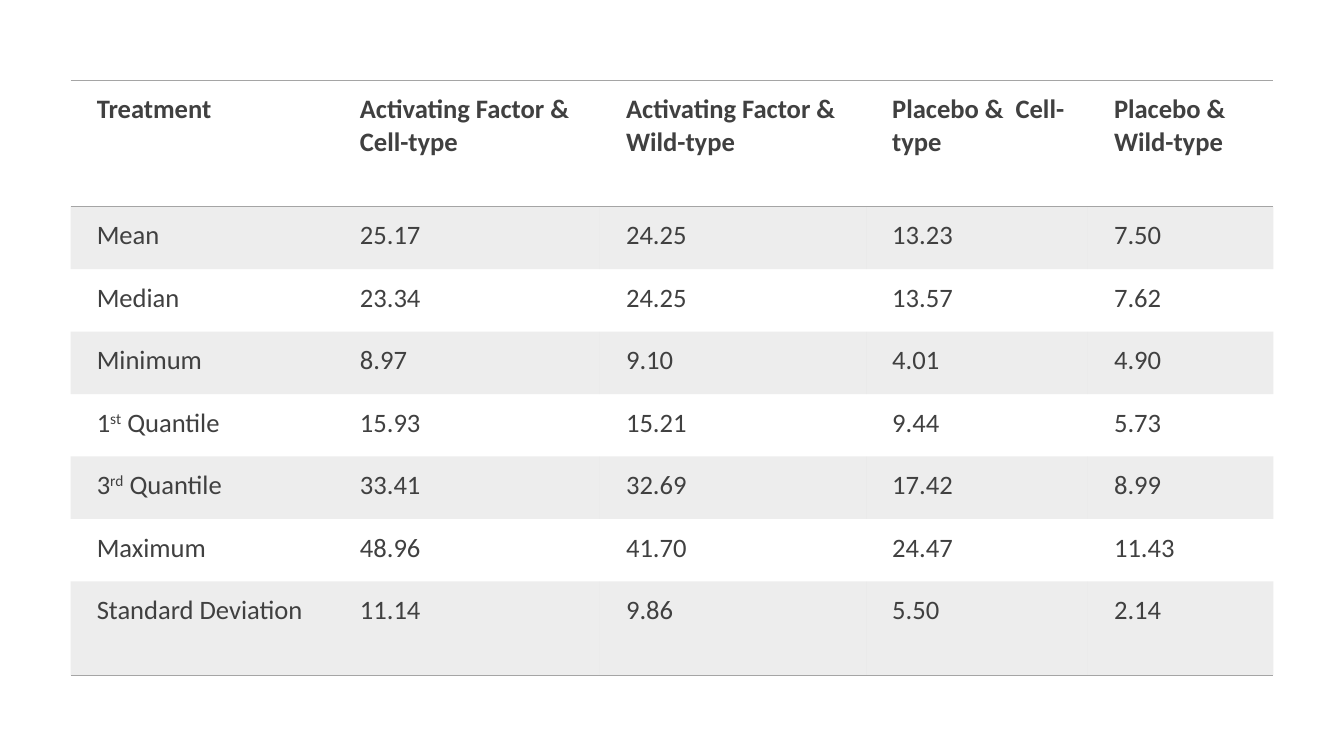
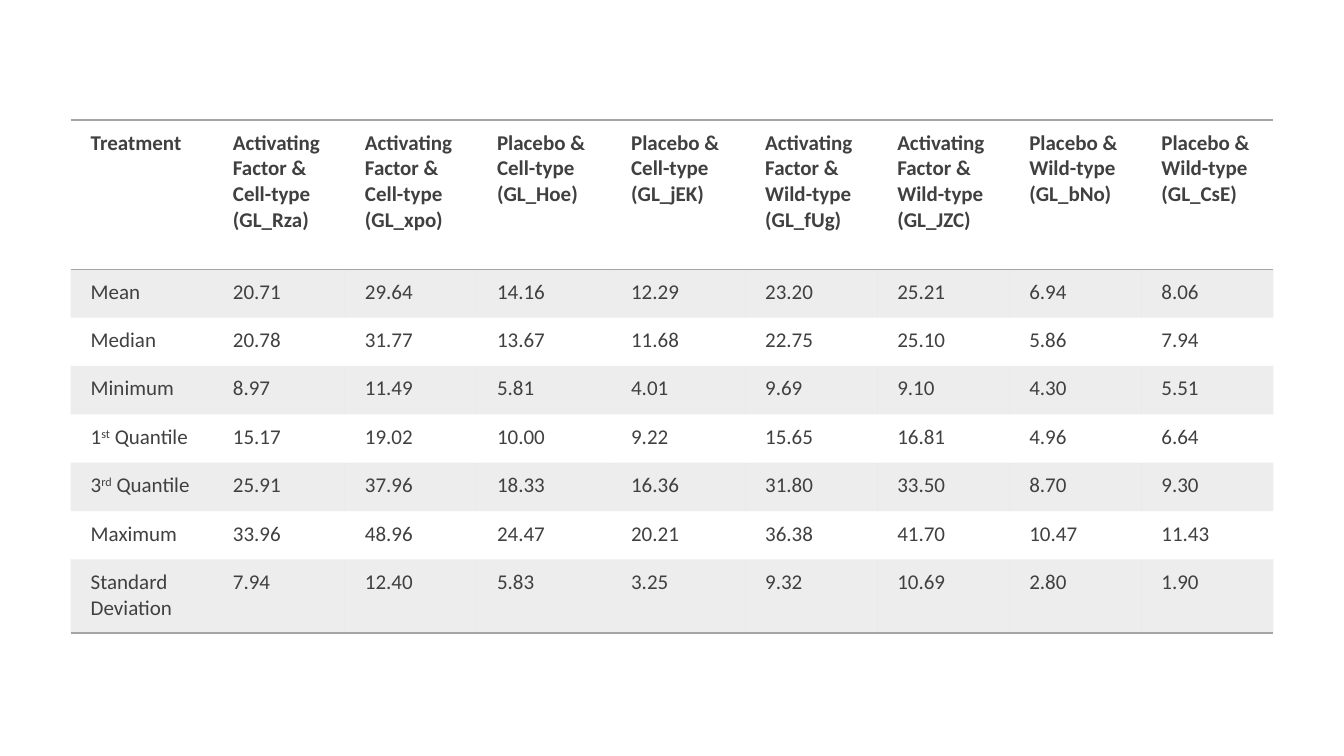
from lxml import etree
from pptx import Presentation
from pptx.dml.color import RGBColor
from pptx.oxml.ns import qn
from pptx.util import Pt

PX = 9144
TEXT = RGBColor(0x40, 0x40, 0x40)
GREY = RGBColor(0xA5, 0xA5, 0xA5)
BAND_ALPHA = "20000"
SUPERSCRIPT = "30000"
FONT = "Calibri"
PLAIN_TABLE = "{2D5ABB26-0587-4C30-8999-92F81FD0307C}"
TABLE_LEFT = 70

ACTIVE_CELL = "Activating Factor & Cell-type"
ACTIVE_WILD = "Activating Factor & Wild-type"
PLACEBO_CELL = "Placebo &  Cell-type"
PLACEBO_WILD = "Placebo & Wild-type"

STATISTICS = [
    ("Mean",), ("Median",), ("Minimum",), ("1", "st", " Quantile"),
    ("3", "rd", " Quantile"), ("Maximum",), ("Standard Deviation",),
]

SUMMARIES = [
    {
        "top": 80, "size": 19, "indent": 26, "margin": 13,
        "widths": [261, 264, 264, 220, 184],
        "heights": [125] + [62] * 6 + [93],
        "treatments": [ACTIVE_CELL, ACTIVE_WILD, PLACEBO_CELL, PLACEBO_WILD],
        "values": [
            "25.17 24.25 13.23 7.50",
            "23.34 24.25 13.57 7.62",
            "8.97 9.10 4.01 4.90",
            "15.93 15.21 9.44 5.73",
            "33.41 32.69 17.42 8.99",
            "48.96 41.70 24.47 11.43",
            "11.14 9.86 5.50 2.14",
        ],
    },
    {
        "top": 119, "size": 15, "indent": 20, "margin": 10,
        "widths": [141, 131, 131, 133, 133] + [131] * 4,
        "heights": [148] + [48] * 6 + [73],
        "treatments": [
            f"{ACTIVE_CELL} (GL_Rza)", f"{ACTIVE_CELL} (GL_xpo)",
            f"{PLACEBO_CELL} (GL_Hoe)", f"{PLACEBO_CELL} (GL_jEK)",
            f"{ACTIVE_WILD} (GL_fUg)", f"{ACTIVE_WILD} (GL_JZC)",
            f"{PLACEBO_WILD} (GL_bNo)", f"{PLACEBO_WILD} (GL_CsE)",
        ],
        "values": [
            "20.71 29.64 14.16 12.29 23.20 25.21 6.94 8.06",
            "20.78 31.77 13.67 11.68 22.75 25.10 5.86 7.94",
            "8.97 11.49 5.81 4.01 9.69 9.10 4.30 5.51",
            "15.17 19.02 10.00 9.22 15.65 16.81 4.96 6.64",
            "25.91 37.96 18.33 16.36 31.80 33.50 8.70 9.30",
            "33.96 48.96 24.47 20.21 36.38 41.70 10.47 11.43",
            "7.94 12.40 5.83 3.25 9.32 10.69 2.80 1.90",
        ],
    },
]


def add_rule(cell, side):
    rule = etree.SubElement(cell._tc.get_or_add_tcPr(), qn(f"a:{side}"), w=str(Pt(1)))
    fill = etree.SubElement(rule, qn("a:solidFill"))
    etree.SubElement(fill, qn("a:srgbClr"), val=str(GREY))


def fill_band(cell):
    cell.fill.solid()
    cell.fill.fore_color.rgb = GREY
    colour = cell._tc.tcPr.find(f"{qn('a:solidFill')}/{qn('a:srgbClr')}")
    etree.SubElement(colour, qn("a:alpha"), val=BAND_ALPHA)


prs = Presentation()
prs.slide_width = 1333 * PX
prs.slide_height = 750 * PX

for summary in SUMMARIES:
    slide = prs.slides.add_slide(prs.slide_layouts[6])
    widths, heights = summary["widths"], summary["heights"]
    table = slide.shapes.add_table(
        len(heights), len(widths), TABLE_LEFT * PX, summary["top"] * PX,
        sum(widths) * PX, sum(heights) * PX).table
    table.horz_banding = False
    table._tbl.tblPr.find(qn("a:tableStyleId")).text = PLAIN_TABLE
    for column, width in zip(table.columns, widths):
        column.width = width * PX
    for row, height in zip(table.rows, heights):
        row.height = height * PX

    rows = [[("Treatment",)] + [(name,) for name in summary["treatments"]]]
    for statistic, values in zip(STATISTICS, summary["values"]):
        rows.append([statistic] + [(value,) for value in values.split()])

    last = len(rows) - 1
    for r, row in enumerate(rows):
        for c, parts in enumerate(row):
            cell = table.cell(r, c)
            cell.margin_left = summary["indent"] * PX
            cell.margin_top = cell.margin_right = cell.margin_bottom = summary["margin"] * PX
            if r == 0:
                add_rule(cell, "lnT")
            if r in (0, last):
                add_rule(cell, "lnB")
            if r % 2:
                fill_band(cell)
            else:
                cell.fill.background()

            paragraph = cell.text_frame.paragraphs[0]
            paragraph.font.name = FONT
            paragraph.font.size = Pt(summary["size"])
            paragraph.font.bold = r == 0
            paragraph.font.color.rgb = TEXT
            for i, part in enumerate(parts):
                run = paragraph.add_run()
                run.text = part
                if i == 1:
                    run._r.get_or_add_rPr().set("baseline", SUPERSCRIPT)

prs.save("out.pptx")
